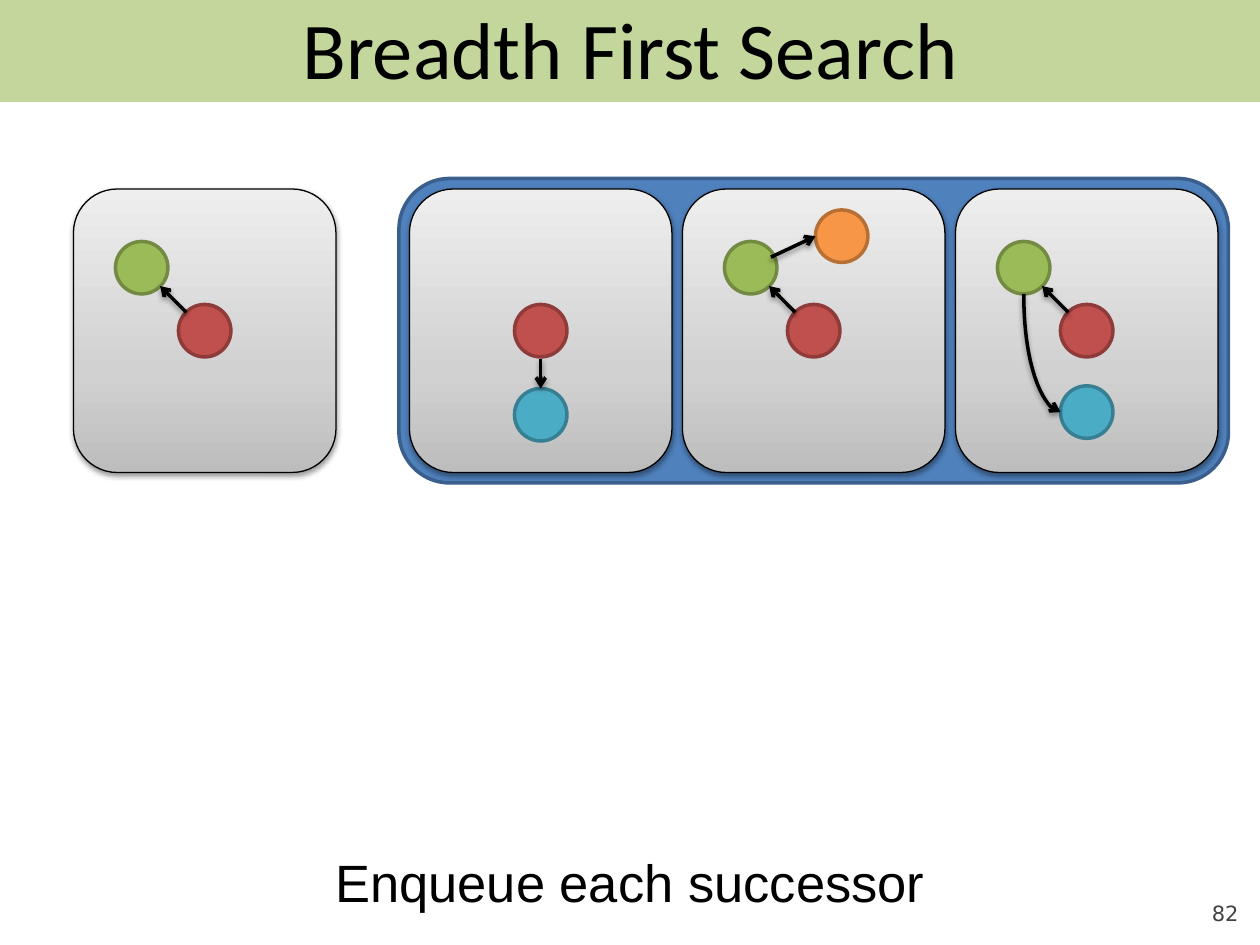
"""Build a slide showing one breadth first search step that enqueues successors."""
import pptx
import pptx.util
import pptx.oxml
import pptx.oxml.ns
import pptx.dml.color
import pptx.enum.shapes
import pptx.enum.text
import lxml.etree

Pt = pptx.util.Pt
RGB = pptx.dml.color.RGBColor
SHAPE = pptx.enum.shapes.MSO_SHAPE
CONNECTOR = pptx.enum.shapes.MSO_CONNECTOR
ALIGN = pptx.enum.text.PP_ALIGN
ANCHOR = pptx.enum.text.MSO_ANCHOR
qn = pptx.oxml.ns.qn

BLACK = RGB(0x00, 0x00, 0x00)
GRAY = RGB(0x42, 0x42, 0x42)
BANNER = RGB(0xC3, 0xD6, 0x9B)
QUEUE = (RGB(0x4F, 0x81, 0xBD), RGB(0x3A, 0x5F, 0x8C))
RED = (RGB(0xC0, 0x50, 0x4D), RGB(0x8E, 0x3B, 0x39))
GREEN = (RGB(0x9B, 0xBB, 0x59), RGB(0x73, 0x8A, 0x42))
TEAL = (RGB(0x4B, 0xAC, 0xC6), RGB(0x37, 0x7F, 0x92))
ORANGE = (RGB(0xF7, 0x96, 0x46), RGB(0xB7, 0x6F, 0x34))
PANEL_STOPS = ((0, RGB(0xBD, 0xBD, 0xBD)), (35, RGB(0xD1, 0xD1, 0xD1)),
               (100, RGB(0xEE, 0xEE, 0xEE)))

PANEL_TOP, PANEL_WIDTH, PANEL_HEIGHT = 108, 150, 162
CURRENT_LEFT, QUEUE_LEFT, PANEL_PITCH = 42, 234, 156
NODE_SIZE = 30
ROOT_AT, PARENT_AT = (60, 66), (24, 30)


def add_box(s, kind, left, top, width, height, fill, line=None):
    sp = s.shapes.add_shape(kind, Pt(left), Pt(top), Pt(width), Pt(height))
    sp.shadow.inherit = False
    sp.fill.solid()
    sp.fill.fore_color.rgb = fill
    if line is None:
        sp.line.fill.background()
    else:
        sp.line.color.rgb = line
        sp.line.width = Pt(2)
    return sp


def add_shadow(sp_pr):
    effects = sp_pr.find(qn("a:effectLst"))
    if effects is None:
        effects = lxml.etree.SubElement(sp_pr, qn("a:effectLst"))
    shadow = lxml.etree.SubElement(
        effects, qn("a:outerShdw"), blurRad=str(Pt(3.1)), dist=str(Pt(1.6)),
        dir="5400000", rotWithShape="0")
    color = lxml.etree.SubElement(shadow, qn("a:srgbClr"), val=str(BLACK))
    lxml.etree.SubElement(color, qn("a:alpha"), val="38000")


def add_panel(s, left):
    sp = add_box(s, SHAPE.ROUNDED_RECTANGLE, left, PANEL_TOP,
                 PANEL_WIDTH, PANEL_HEIGHT, BLACK, BLACK)
    sp.line.width = Pt(0.75)
    sp.fill.gradient()
    sp.fill.gradient_angle = 90
    stops = sp.element.spPr.find(".//" + qn("a:gsLst"))
    stops.clear()
    for position, color in PANEL_STOPS:
        stop = lxml.etree.SubElement(stops, qn("a:gs"), pos=str(position * 1000))
        lxml.etree.SubElement(stop, qn("a:srgbClr"), val=str(color))
    add_shadow(sp.element.spPr)


def add_node(s, left, at, colors):
    add_box(s, SHAPE.OVAL, left + at[0], PANEL_TOP + at[1],
            NODE_SIZE, NODE_SIZE, *colors)


def add_arrow(s, left, start, end, kind=CONNECTOR.STRAIGHT):
    cxn = s.shapes.add_connector(
        kind, Pt(left + start[0]), Pt(PANEL_TOP + start[1]),
        Pt(left + end[0]), Pt(PANEL_TOP + end[1]))
    cxn.line.color.rgb = BLACK
    cxn.line.width = Pt(2)
    lxml.etree.SubElement(cxn.line._get_or_add_ln(), qn("a:tailEnd"), type="arrow")
    add_shadow(cxn.element.spPr)
    return cxn


def add_down_curve(s, left, start, end):
    """Turn a quarter curve so that it leaves downwards and arrives rightwards."""
    mid_x, mid_y = (start[0] + end[0]) / 2, (start[1] + end[1]) / 2
    half_w, half_h = (end[1] - start[1]) / 2, (end[0] - start[0]) / 2
    cxn = add_arrow(s, left, (mid_x + half_w, mid_y - half_h),
                    (mid_x - half_w, mid_y + half_h), CONNECTOR.CURVE)
    sp_pr = cxn.element.spPr
    sp_pr.find(qn("a:prstGeom")).set("prst", "curvedConnector2")
    sp_pr.find(qn("a:xfrm")).set("rot", "16200000")


def add_text(s, box, text, size, font, color, align, anchor, margin=None):
    tf = s.shapes.add_textbox(*(Pt(v) for v in box)).text_frame
    tf.word_wrap = True
    tf.vertical_anchor = anchor
    if margin is not None:
        tf.margin_left = tf.margin_right = Pt(margin)
        tf.margin_top = tf.margin_bottom = Pt(margin)
    p = tf.paragraphs[0]
    p.alignment = align
    r = p.add_run()
    r.text = text
    r.font.size = Pt(size)
    r.font.name = font
    r.font.color.rgb = color


def add_state(s, left, has_parent=True):
    add_panel(s, left)
    add_node(s, left, ROOT_AT, RED)
    if has_parent:
        add_node(s, left, PARENT_AT, GREEN)
        add_arrow(s, left, (64.5, 70.5), (49.5, 55.5))


def main():
    prs = pptx.Presentation()
    prs.slide_width, prs.slide_height = Pt(720), Pt(540)
    s = prs.slides.add_slide(prs.slide_layouts[6])

    add_text(s, (648, 500.4, 59.76, 28.8), "82", 12, "DejaVu Sans", GRAY,
             ALIGN.RIGHT, ANCHOR.BOTTOM, 0)
    add_box(s, SHAPE.RECTANGLE, 0, 0, 720, 58.3, BANNER)
    add_box(s, SHAPE.ROUNDED_RECTANGLE, 228, 102, 474, 174, *QUEUE)

    add_state(s, CURRENT_LEFT)
    first, second, third = (QUEUE_LEFT + i * PANEL_PITCH for i in range(3))

    add_state(s, first, has_parent=False)
    add_node(s, first, (60, 114), TEAL)
    add_arrow(s, first, (75, 97), (75, 114))

    add_state(s, second)
    add_node(s, second, (76, 12), ORANGE)
    add_arrow(s, second, (50.5, 39), (76, 27))

    add_state(s, third)
    add_node(s, third, (60, 112.5), TEAL)
    add_down_curve(s, third, (39, 60), (60, 127.5))

    add_text(s, (0, 482.4, 720, 44), "Enqueue each successor", 30, "Arial",
             BLACK, ALIGN.CENTER, ANCHOR.TOP)
    add_text(s, (36, 0, 648, 54), "Breadth First Search", 46, "Calibri",
             BLACK, ALIGN.CENTER, ANCHOR.MIDDLE)
    prs.save("out.pptx")


if __name__ == "__main__":
    main()
